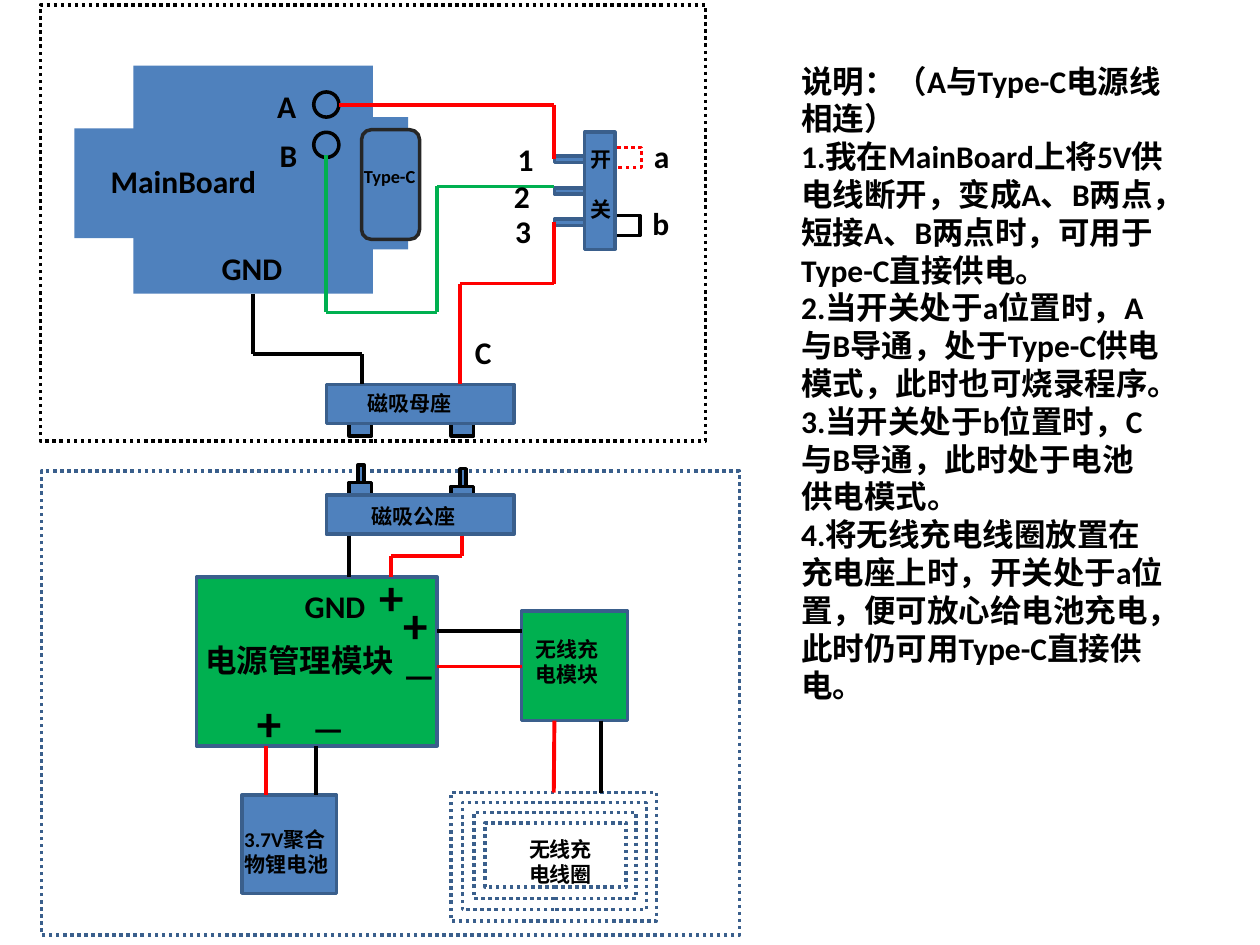
from dataclasses import dataclass
from itertools import pairwise

from lxml.etree import SubElement
from pptx import Presentation
from pptx.dml.color import RGBColor as Color
from pptx.enum.dml import MSO_LINE_DASH_STYLE as Dash
from pptx.enum.shapes import MSO_CONNECTOR_TYPE as Link
from pptx.enum.shapes import MSO_SHAPE as Kind
from pptx.enum.text import MSO_AUTO_SIZE as Fit
from pptx.oxml.ns import qn
from pptx.util import Inches, Pt

TOP, LEFT, BOTTOM = 0, 1, 2


@dataclass(frozen=True)
class Theme:
    font: str = "Calibri"
    white: str = "FFFFFF"
    black: str = "000000"
    dark: str = "262626"
    red: str = "FF0000"
    green: str = "00B050"
    blue: str = "4F81BD"
    edge: str = "3A5F8C"
    tiny: float = 10.5
    small: float = 12
    normal: float = 18
    dash: float = 20
    sign: float = 28
    outline: float = 2
    wire: float = 2.25


class Diagram:
    def __init__(self, theme, page):
        self.theme = theme
        self.page = page

    def box(self, left, top, width, height, fill=None, line=None,
            dotted=False, kind=Kind.RECTANGLE):
        box = self.page.shapes.add_shape(
            kind, Inches(left), Inches(top), Inches(width), Inches(height))
        box.shadow.inherit = False
        for part, color in ((box.fill, fill), (box.line.fill, line)):
            if color:
                part.solid()
                part.fore_color.rgb = Color.from_string(color)
            else:
                part.background()
        if line:
            box.line.width = Pt(self.theme.outline)
        if dotted:
            box.line.dash_style = Dash.ROUND_DOT
        return box

    def wire(self, color, *points, start=None, end=None):
        """Chain of straight lines; start and end are (box, side) pairs."""
        links = []
        for (x1, y1), (x2, y2) in pairwise(points):
            link = self.page.shapes.add_connector(
                Link.STRAIGHT, Inches(x1), Inches(y1), Inches(x2), Inches(y2))
            link.line.color.rgb = Color.from_string(color)
            link.line.width = Pt(self.theme.wire)
            SubElement(link._element.spPr, qn("a:effectLst"))
            links.append(link)
        if start:
            links[0].begin_connect(*start)
        if end:
            links[-1].end_connect(*end)

    def text(self, left, top, width, height, *paras, size=None, gap=0, tab=None):
        """Each para is a list of (words, size) spans or a plain string."""
        box = self.page.shapes.add_textbox(
            Inches(left), Inches(top), Inches(width), Inches(height))
        frame = box.text_frame
        frame.word_wrap = True
        frame.auto_size = Fit.SHAPE_TO_FIT_TEXT
        for index, spans in enumerate(paras):
            para = frame.add_paragraph() if index else frame.paragraphs[0]
            if index and gap:
                para.space_before = Pt(gap)
            if tab:
                stops = SubElement(para._p.get_or_add_pPr(), qn("a:tabLst"))
                SubElement(stops, qn("a:tab"), pos=str(Inches(tab)), algn="l")
            if isinstance(spans, str):
                spans = [(spans, size or self.theme.normal)]
            for words, points in spans:
                span = para.add_run()
                span.text = words
                style = {"name": self.theme.font, "size": Pt(points), "bold": True}
                for name, value in style.items():
                    setattr(span.font, name, value)
                span.font.color.rgb = Color.from_string(self.theme.black)


def main():
    theme = Theme()
    deck = Presentation()
    deck.slide_width, deck.slide_height = Inches(10), Inches(7.5)
    page = deck.slides.add_slide(deck.slide_layouts[6])
    draw = Diagram(theme, page)
    box, wire, text = draw.box, draw.wire, draw.text
    black, red, green = theme.black, theme.red, theme.green
    blue, edge, white = theme.blue, theme.edge, theme.white

    # Dotted frames: charger below, board above
    box(0.33, 3.74, 5.54, 3.68, white, edge, dotted=True)
    box(0.32, 0.04, 5.28, 3.46, white, black, dotted=True)

    # Magnetic contacts: plug pin, plug foot, socket foot
    for left, top in ((2.77, 3.83), (3.58, 3.86)):
        box(left + 0.07, top - 0.14, 0.05, 0.28, blue, black)
        box(left, top, 0.18, 0.1, blue, black)
        box(left, 3.3, 0.18, 0.16, blue, black)

    # Switch pins and lever positions
    pins = [box(4.4, 1.24 + 0.25 * row, 0.31, 0.05, blue, edge) for row in range(3)]
    box(4.77, 1.17, 0.32, 0.16, white, red, dotted=True)
    box(4.76, 1.71, 0.32, 0.16, white, black)

    # Main board with its USB port and solder points
    box(2.69, 0.93, 0.55, 1.05, blue)
    box(0.59, 1.02, 0.94, 0.87, blue)
    board = box(1.06, 0.52, 1.9, 1.81, blue)
    box(2.87, 1.03, 0.46, 0.87, blue, theme.dark, kind=Kind.ROUNDED_RECTANGLE)
    for top in (0.73, 1.05):
        box(2.49, top, 0.2, 0.2, blue, black, kind=Kind.OVAL)

    # Switch, magnetic socket and plug, modules, battery
    box(4.64, 1.05, 0.24, 0.93, blue, edge)
    for top in (3.05, 3.93):
        box(2.59, top, 1.49, 0.31, blue, edge)
    box(1.56, 4.58, 1.91, 1.34, green, edge)
    box(4.14, 4.85, 0.84, 0.87, green, edge)
    box(1.92, 6.31, 0.75, 0.78, blue, edge)

    # Nested turns of the charging coil
    coil = [box(3.58 + 0.09 * turn, 6.29 + 0.08 * turn, 1.63 - 0.17 * turn,
                1.02 - 0.17 * turn, line=edge, dotted=True) for turn in range(4)]

    # Wires of the charger
    wire(red, (4.4, 5.72), (4.4, 6.29), end=(coil[0], TOP))
    wire(black, (4.77, 5.72), (4.77, 6.29))
    wire(red, (2.11, 5.92), (2.11, 6.31))
    wire(black, (2.51, 5.92), (2.51, 6.31))
    wire(black, (3.47, 5.01), (4.14, 5.01))
    wire(red, (3.47, 5.29), (4.14, 5.29))
    wire(black, (2.77, 4.25), (2.77, 4.58))
    wire(red, (3.67, 4.25), (3.67, 4.41), (3.1, 4.41), (3.1, 4.58))

    # Wires of the board
    wire(black, (2.01, 2.33), (2.01, 2.81), (2.87, 2.81), (2.87, 3.05),
         start=(board, BOTTOM))
    wire(red, (3.65, 3.05), (3.65, 2.25), (4.4, 2.25), (4.4, 1.77),
         end=(pins[2], LEFT))
    wire(red, (2.69, 0.83), (4.4, 0.83), (4.4, 1.26), end=(pins[0], LEFT))
    wire(green, (2.59, 1.23), (2.59, 2.48), (3.47, 2.48), (3.47, 1.48), (4.4, 1.48))

    # Part names
    text(0.78, 1.24, 1.65, 0.4, "MainBoard")
    text(1.53, 5.04, 1.86, 0.4, "电源管理模块")
    for left, top, width, height, words in (
            (1.84, 6.51, 1, 0.5, "3.7V聚合物锂电池"),
            (4.15, 5, 0.82, 0.5, "无线充电模块"),
            (4.1, 6.59, 0.82, 0.5, "无线充电线圈"),
            (2.82, 3.05, 0.97, 0.3, "磁吸母座"),
            (2.85, 3.95, 0.97, 0.3, "磁吸公座")):
        text(left, top, width, height, words, size=theme.small)
    text(4.59, 1.11, 0.97, 0.71, "开", "关", size=theme.small, gap=14.4)
    text(2.79, 1.26, 0.97, 0.29, "Type-C", size=theme.tiny)

    # Terminal names
    for left, top, name in (
            (2.1, 0.64, "A"), (2.12, 1.03, "B"), (4.01, 1.06, "1"),
            (3.98, 1.36, "2"), (3.99, 1.63, "3"), (5.09, 1.04, "a"),
            (5.08, 1.57, "b"), (3.67, 2.59, "C")):
        text(left, top, 0.39, 0.4, name)
    for left, top in ((1.66, 1.93), (2.32, 4.61)):
        text(left, top, 0.71, 0.4, "GND")

    # Polarity signs
    plus, minus = ("+", theme.sign), ("—", theme.dash)
    text(1.94, 5.45, 1.08, 0.57, [plus, ("\t", theme.dash), minus], tab=0.44)
    text(3.1, 4.67, 1.08, 0.91, [plus], [minus])
    text(2.91, 4.45, 0.39, 0.57, [plus])

    # Explanation
    text(6.26, 0.44, 3.07, 5.55,
         "说明：（A与Type-C电源线相连）",
         "1.我在MainBoard上将5V供电线断开，变成A、B两点，短接A、B两点时，可用于Type-C直接供电。",
         "2.当开关处于a位置时，A与B导通，处于Type-C供电模式，此时也可烧录程序。",
         "3.当开关处于b位置时，C与B导通，此时处于电池供电模式。",
         "4.将无线充电线圈放置在充电座上时，开关处于a位置，便可放心给电池充电，此时仍可用Type-C直接供电。")

    deck.save("out.pptx")


if __name__ == "__main__":
    main()
